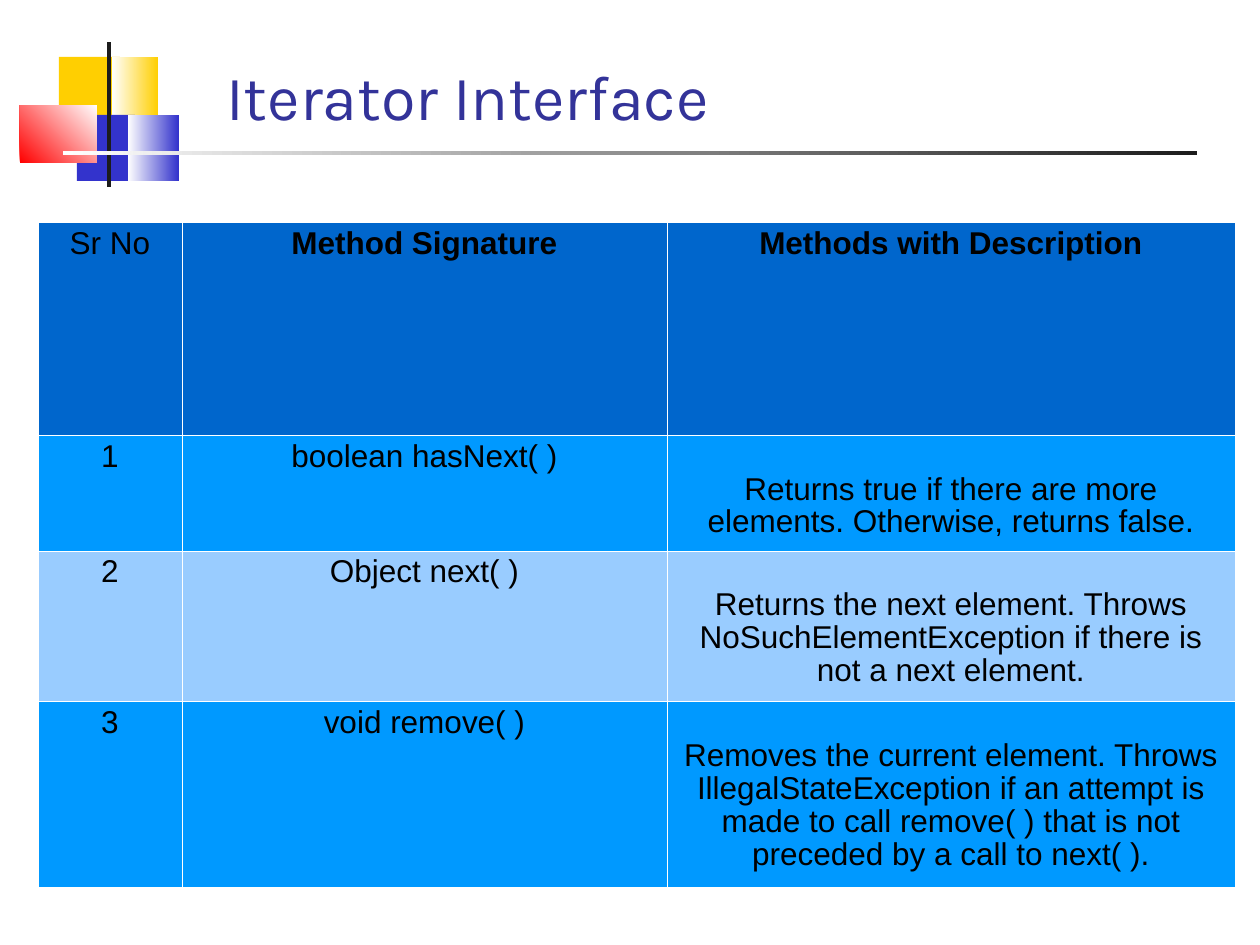
import pptx
import pptx.util
import pptx.dml.color
import pptx.enum.shapes
import pptx.enum.text
import pptx.oxml
import pptx.oxml.ns

RGBColor = pptx.dml.color.RGBColor
WHITE = RGBColor(0xFF, 0xFF, 0xFF)
BLACK = RGBColor(0x00, 0x00, 0x00)
YELLOW = RGBColor(0xFF, 0xCF, 0x01)
BLUE = RGBColor(0x33, 0x33, 0xCC)
RED = RGBColor(0xFF, 0x00, 0x00)
CHARCOAL = RGBColor(0x1C, 0x1C, 0x1C)
TITLE_BLUE = RGBColor(0x33, 0x33, 0x99)
HEADER_BLUE = RGBColor(0x00, 0x66, 0xCC)
ROW_BLUE = RGBColor(0x00, 0x99, 0xFF)
ROW_LIGHT = RGBColor(0x99, 0xCC, 0xFF)

EMU_PER_PX = 914400 / 126
LINE_GAP = 33
COLUMNS = [144, 485, 568]
ROW_HEIGHTS = [213, 113, 146, 179]
ROW_FILLS = [HEADER_BLUE, ROW_BLUE, ROW_LIGHT, ROW_BLUE]
ROWS = [
    ["Sr No", "Method Signature", "Methods with Description"],
    ["1", "boolean hasNext( )",
     "Returns true if there are more elements. Otherwise, returns false."],
    ["2", "Object next( )",
     "Returns the next element. Throws NoSuchElementException if there is "
     "not a next element."],
    ["3", "void remove( )",
     "Removes the current element. Throws IllegalStateException if an attempt "
     "is made to call remove( ) that is not preceded by a call to next( )."],
]


def px(n):
    return pptx.util.Emu(round(n * EMU_PER_PX))


def add_block(s, box, *colors, angle=0):
    sp = s.shapes.add_shape(pptx.enum.shapes.MSO_SHAPE.RECTANGLE, *map(px, box))
    sp.shadow.inherit = False
    sp.line.fill.background()
    if len(colors) == 1:
        sp.fill.solid()
        sp.fill.fore_color.rgb = colors[0]
    else:
        sp.fill.gradient()
        sp.fill.gradient_angle = angle
        for stop, color in zip(sp.fill.gradient_stops, colors):
            stop.color.rgb = color


def add_run(p, text, font, size, color, bold=False):
    r = p.add_run()
    r.text = text
    r.font.name = font
    r.font.size = pptx.util.Pt(size)
    r.font.color.rgb = color
    r.font.bold = bold


def add_title(s, text):
    sp = s.shapes.add_textbox(*map(px, (214, 38, 971, 101)))
    tf = sp.text_frame
    tf.word_wrap = True
    tf.vertical_anchor = pptx.enum.text.MSO_ANCHOR.BOTTOM
    add_run(tf.paragraphs[0], text, "Karla", 36, TITLE_BLUE)


def set_borders(cell):
    tcPr = cell._tc.get_or_add_tcPr()
    for side in ("lnL", "lnR", "lnT", "lnB"):
        tcPr.append(pptx.oxml.parse_xml(
            f'<a:{side} {pptx.oxml.ns.nsdecls("a")} w="762"><a:solidFill>'
            f'<a:srgbClr val="{WHITE}"/></a:solidFill></a:{side}>'))


def fill_cell(cell, text, fill, bold, top):
    set_borders(cell)
    cell.fill.solid()
    cell.fill.fore_color.rgb = fill
    cell.margin_left = cell.margin_right = pptx.util.Inches(0.1)
    cell.margin_bottom = pptx.util.Inches(0.05)
    cell.margin_top = px(top)
    p = cell.text_frame.paragraphs[0]
    p.alignment = pptx.enum.text.PP_ALIGN.CENTER
    p.line_spacing = 0.93
    add_run(p, text, "Arial", 18, BLACK, bold)


def add_methods_table(s):
    table = s.shapes.add_table(
        len(ROWS), len(COLUMNS), px(38), px(222),
        px(sum(COLUMNS)), px(sum(ROW_HEIGHTS))).table
    table.first_row = table.horz_banding = False
    for column, width in zip(table.columns, COLUMNS):
        column.width = px(width)
    for i, (height, fill, texts) in enumerate(zip(ROW_HEIGHTS, ROW_FILLS, ROWS)):
        table.rows[i].height = px(height)
        for j, text in enumerate(texts):
            is_description = i > 0 and j == 2
            top = 6 + LINE_GAP if is_description else 6
            fill_cell(table.cell(i, j), text, fill, i == 0 and j > 0, top)


def main():
    prs = pptx.Presentation()
    prs.slide_width, prs.slide_height = px(1260), px(945)
    s = prs.slides.add_slide(prs.slide_layouts[6])
    add_block(s, (59, 57, 61, 65), YELLOW)
    add_block(s, (112, 57, 46, 65), WHITE, YELLOW)
    add_block(s, (77, 115, 58, 66), BLUE)
    add_block(s, (128, 115, 51, 66), WHITE, BLUE)
    add_block(s, (20, 105, 77, 58), RED, WHITE, angle=45)
    add_block(s, (107, 42, 4, 145), CHARCOAL)
    add_block(s, (63, 151, 1134, 4), WHITE, CHARCOAL)
    add_title(s, "Iterator Interface")
    add_methods_table(s)
    prs.save("out.pptx")


if __name__ == "__main__":
    main()
